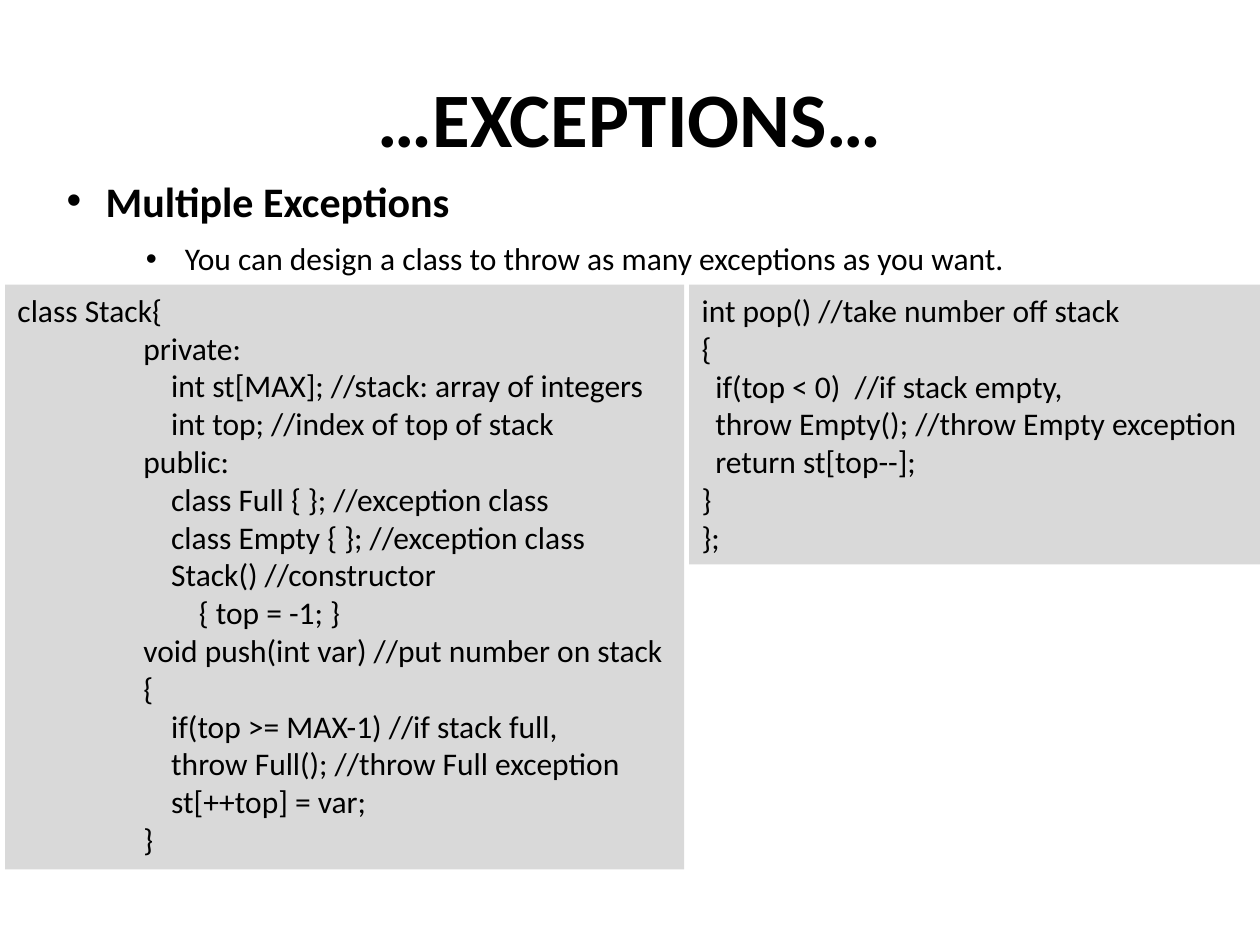
from pptx import Presentation
from pptx import util as u
from pptx.dml.color import RGBColor
from pptx.enum import shapes, text
from pptx.oxml import parse_xml
from pptx.oxml.ns import nsdecls

COLORS = {"ink": "000000", "panel": "D9D9D9"}
FONT = "Calibri"
COLUMNS, ROWS = 100, 75
BULLET_INDENT = 0.31
LEVEL_STEP = 0.22

STACK_CODE = [
    (0, 0, "class Stack{"),
    (1, 0, "private:"),
    (1, 1, "int st[MAX]; //stack: array of integers"),
    (1, 1, "int top; //index of top of stack"),
    (1, 0, "public:"),
    (1, 1, "class Full { }; //exception class"),
    (1, 1, "class Empty { }; //exception class"),
    (1, 1, "Stack() //constructor"),
    (1, 2, "{ top = -1; }"),
    (1, 0, "void push(int var) //put number on stack"),
    (1, 0, "{"),
    (1, 1, "if(top >= MAX-1) //if stack full,"),
    (1, 1, "throw Full(); //throw Full exception"),
    (1, 1, "st[++top] = var;"),
    (1, 0, "}"),
]
POP_CODE = [
    (0, 0, "int pop() //take number off stack"),
    (0, 0, "{"),
    (0, 0.5, "if(top < 0)  //if stack empty,"),
    (0, 0.5, "throw Empty(); //throw Empty exception"),
    (0, 0.5, "return st[top--];"),
    (0, 0, "}"),
    (0, 0, "};"),
]


def write(paragraph, content, size=18, bold=False, align=text.PP_ALIGN.LEFT, indent=0, bullet=None):
    """Add formatted text to a paragraph, with an optional indent or bullet."""
    paragraph.alignment = align
    run = paragraph.add_run()
    run.text = content
    run.font.name, run.font.size, run.font.bold = FONT, u.Pt(size), bold
    run.font.color.rgb = RGBColor.from_string(COLORS["ink"])
    properties = paragraph._p.get_or_add_pPr()
    if bullet:
        indent = BULLET_INDENT
        properties.set("indent", str(-u.Inches(indent)))
        properties.append(parse_xml(f'<a:buFont {nsdecls("a")} typeface="Arial"/>'))
        properties.append(parse_xml(f'<a:buChar {nsdecls("a")} char="{bullet}"/>'))
    properties.set("marL", str(u.Inches(indent)))


class Deck:
    """Hold the presentation, its grid and the current slide."""

    def __init__(self):
        """Start a presentation with one blank slide."""
        self.presentation = Presentation()
        self.presentation.slide_width = u.Inches(10)
        self.presentation.slide_height = u.Inches(7.5)
        self.slide = self.presentation.slides.add_slide(self.presentation.slide_layouts[6])

    def place(self, column, row, columns, rows):
        """Turn grid units into slide lengths."""
        cell_width = self.presentation.slide_width / COLUMNS
        cell_height = self.presentation.slide_height / ROWS
        return [round(value) for value in (column * cell_width, row * cell_height,
                                           columns * cell_width, rows * cell_height)]

    def label(self, area, content, wrap=False, anchor=text.MSO_ANCHOR.TOP, **style):
        """Add a text box with one paragraph."""
        frame = self.slide.shapes.add_textbox(*self.place(*area)).text_frame
        frame.word_wrap = wrap
        frame.vertical_anchor = anchor
        write(frame.paragraphs[0], content, **style)

    def code_panel(self, area, lines):
        """Add a filled panel with one paragraph for each line of code."""
        shape = self.slide.shapes.add_shape(shapes.MSO_SHAPE.RECTANGLE, *self.place(*area))
        shape.shadow.inherit = False
        shape.fill.solid()
        shape.fill.fore_color.rgb = RGBColor.from_string(COLORS["panel"])
        shape.line.fill.background()
        frame = shape.text_frame
        frame.word_wrap = True
        frame.vertical_anchor = text.MSO_ANCHOR.TOP
        for number, (tabs, level, content) in enumerate(lines):
            paragraph = frame.add_paragraph() if number else frame.paragraphs[0]
            write(paragraph, content, indent=tabs + level * LEVEL_STEP)


def main():
    """Build the slide and save it."""
    deck = Deck()
    deck.label((5, 3, 90, 12.5), "…EXCEPTIONS…", wrap=True, anchor=text.MSO_ANCHOR.MIDDLE,
               size=44, bold=True, align=text.PP_ALIGN.CENTER)
    deck.label((4.3, 13.4, 32.6, 5), "Multiple Exceptions", size=24, bold=True, bullet="•")
    deck.label((10.6, 18.5, 71, 4),
               "You can design a class to throw as many exceptions as you want.", bullet="•")
    deck.code_panel((0.4, 22.6, 53.9, 46.4), STACK_CODE)
    deck.code_panel((54.7, 22.6, 45.3, 22.2), POP_CODE)
    deck.presentation.save("out.pptx")


main()
